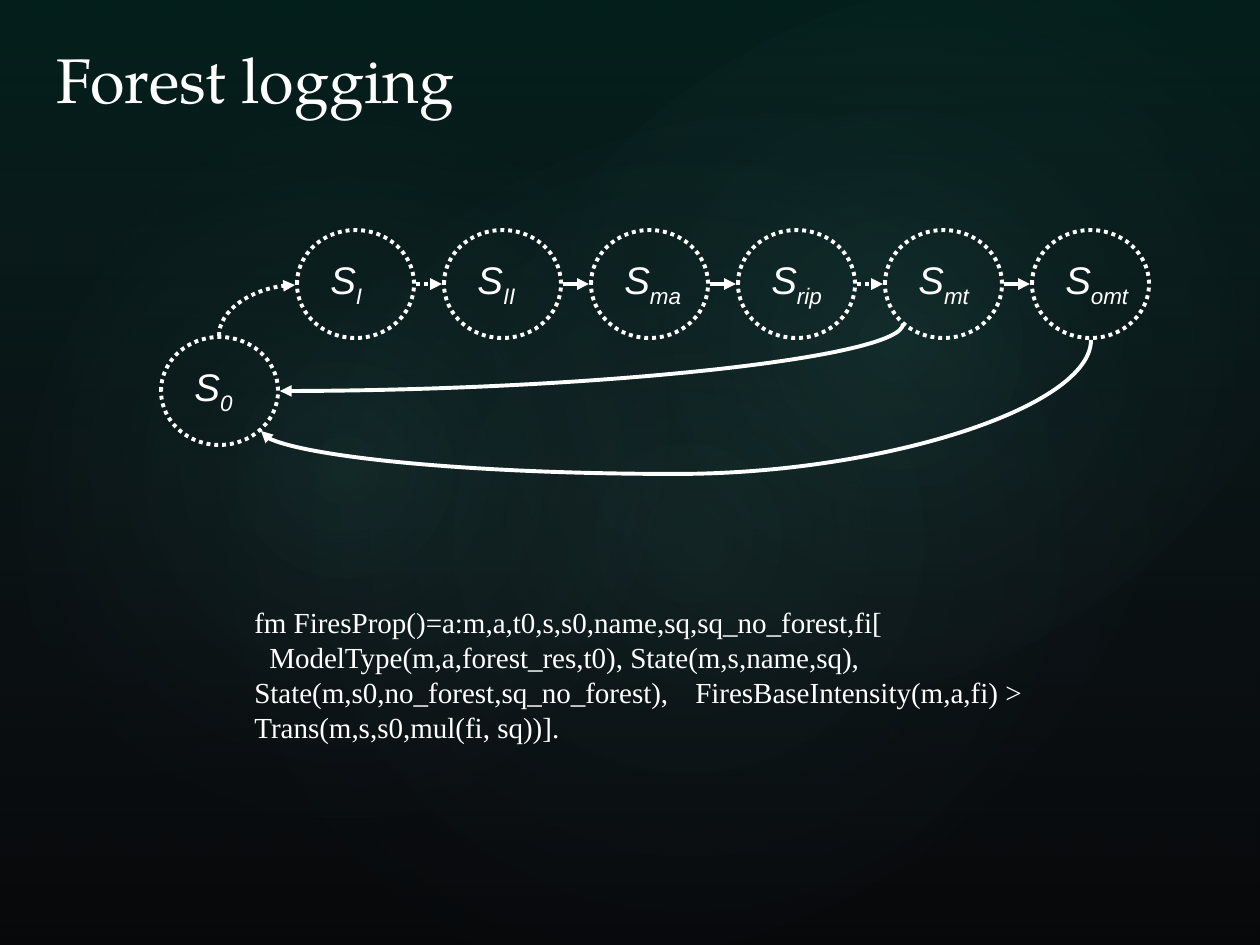
from typing import NamedTuple

from lxml.etree import SubElement
from pptx import Presentation
from pptx.dml.color import RGBColor
from pptx.enum.dml import MSO_LINE
from pptx.enum.shapes import MSO_CONNECTOR, MSO_SHAPE
from pptx.enum.text import MSO_ANCHOR, PP_ALIGN
from pptx.oxml import parse_xml
from pptx.oxml.ns import nsdecls, qn
from pptx.util import Pt

SCALE = 914400 / 126
COLORS = {"ink": "FFFFFF", "base": "000000", "teal": "0D5A4F", "slate": "4E5B6F", "glow": "5FE8D6"}
WIDE, HIGH = 117, 108
LEFT, TOP, STEP = 297, 230, 147


class Stop(NamedTuple):
    pos: int
    color: str
    alpha: int


class Glow(NamedTuple):
    box: tuple[int, int, int, int]
    turn: float
    alpha: int


class State(NamedTuple):
    sub: str
    left: int
    top: int


class Link(NamedTuple):
    start: tuple[int, int]
    end: tuple[int, int]
    dotted: bool = False
    kind: str = "line"
    turn: int = 0
    bend: int = 0


GLOWS = [
    Glow((189, 144, 998, 786), 328.7, 7),
    Glow((-38, 161, 764, 617), 294.3, 8),
    Glow((451, 16, 893, 655), 328.7, 8),
]
SUBS = ["I", "II", "ma", "rip", "mt", "omt"]
STATES = [State("0", 161, 337)] + [State(sub, LEFT + i * STEP, TOP) for i, sub in enumerate(SUBS)]
LINKS = [
    Link((416 + i * STEP, 284), (442 + i * STEP, 284), dotted)
    for i, dotted in enumerate([True, False, False, True, False])
] + [
    Link((219, 336), (295, 285), True, "curvedConnector2", 270),
    Link((903, 324), (280, 391), False, "curvedConnector2", 90),
    Link((1091, 340), (261, 431), False, "curvedConnector3", 90, 147300),
]
RULE = [
    (0, "fm FiresProp()=a:m,a,t0,s,s0,name,sq,sq_no_forest,fi["),
    (15, "ModelType(m,a,forest_res,t0), State(m,s,name,sq),"),
    (0, "State(m,s0,no_forest,sq_no_forest),\tFiresBaseIntensity(m,a,fi) > Trans(m,s,s0,mul(fi, sq))]."),
]


def px(size: float) -> int:
    return round(size * SCALE)


def hue(name: str) -> RGBColor:
    return RGBColor.from_string(COLORS[name])


def add_run(para, text: str, font: str, size: float):
    run = para.add_run()
    run.text = text
    run.font.name = font
    run.font.size = Pt(size)
    run.font.color.rgb = hue("ink")
    return run


def add_shade(shapes, kind, box: tuple, stops: list[Stop], path: str, turn: float = 0) -> None:
    shape = shapes.add_shape(kind, *map(px, box))
    shape.rotation = turn
    shape.shadow.inherit = False
    shape.line.fill.background()
    marks = "".join(
        f'<a:gs pos="{s.pos * 1000}"><a:srgbClr val="{COLORS[s.color]}">'
        f'<a:alpha val="{s.alpha * 1000}"/></a:srgbClr></a:gs>'
        for s in stops
    )
    fill = parse_xml(f'<a:gradFill {nsdecls("a")} rotWithShape="1"><a:gsLst>{marks}</a:gsLst>{path}</a:gradFill>')
    shape.element.spPr.find(qn("a:prstGeom")).addnext(fill)


def style_line(line, dotted: bool) -> None:
    line.color.rgb = hue("ink")
    line.width = Pt(2.25)
    if dotted:
        line.dash_style = MSO_LINE.ROUND_DOT


def add_state(shapes, state: State) -> None:
    ring = shapes.add_shape(MSO_SHAPE.OVAL, *map(px, (state.left, state.top, WIDE, HIGH)))
    ring.shadow.inherit = False
    ring.fill.background()
    style_line(ring.line, True)
    label = shapes.add_textbox(*map(px, (state.left + 21, state.top + 20, 100, 59)))
    label.text_frame.word_wrap = True
    para = label.text_frame.paragraphs[0]
    for text, base in (("S", 0), (state.sub, -25000)):
        run = add_run(para, text, "Arial", 22)
        run.font.italic = True
        if base:
            run.font._element.set("baseline", str(base))


def add_link(shapes, link: Link) -> None:
    (x1, y1), (x2, y2) = link.start, link.end
    if link.turn:
        mid_x, mid_y = (x1 + x2) / 2, (y1 + y2) / 2
        half_w, half_h = abs(y2 - y1) / 2, abs(x2 - x1) / 2
        x1, y1, x2, y2 = mid_x - half_w, mid_y - half_h, mid_x + half_w, mid_y + half_h
    wire = shapes.add_connector(MSO_CONNECTOR.STRAIGHT, *map(px, (x1, y1, x2, y2)))
    style_line(wire.line, link.dotted)
    props = wire.element.spPr
    if link.turn:
        props.find(qn("a:xfrm")).set("rot", str(link.turn * 60000))
    geom = props.find(qn("a:prstGeom"))
    geom.set("prst", link.kind)
    if link.bend:
        SubElement(geom.find(qn("a:avLst")), qn("a:gd"), name="adj1", fmla=f"val {link.bend}")
    SubElement(props.find(qn("a:ln")), qn("a:tailEnd"), type="triangle")
    SubElement(props, qn("a:effectLst"))


def add_rule(shapes) -> None:
    box = shapes.add_textbox(*map(px, (242, 598, 872, 154)))
    frame = box.text_frame
    frame.word_wrap = True
    for i, (indent, text) in enumerate(RULE):
        para = frame.paragraphs[0] if i == 0 else frame.add_paragraph()
        para.line_spacing = Pt(20)
        add_run(para, text, "Times New Roman", 16.6)
        props = para._p.get_or_add_pPr()
        props.set("indent", str(px(indent)))
        if "\t" in text:
            tabs = SubElement(props, qn("a:tabLst"))
            SubElement(tabs, qn("a:tab"), pos=str(px(518)), algn="l")


def set_title(title) -> None:
    title.left, title.top, title.width, title.height = map(px, (44, -4, 1040, 126))
    frame = title.text_frame
    frame.vertical_anchor = MSO_ANCHOR.BOTTOM
    para = frame.paragraphs[0]
    para.alignment = PP_ALIGN.LEFT
    add_run(para, "Forest logging", "TeX Gyre Pagella", 36)
    title.element.getparent().append(title.element)


def main() -> None:
    deck = Presentation()
    deck.slide_width, deck.slide_height = px(1260), px(945)
    slide = deck.slides.add_slide(deck.slide_layouts[5])
    back = slide.background.fill
    back.solid()
    back.fore_color.rgb = hue("base")
    add_shade(
        slide.shapes, MSO_SHAPE.RECTANGLE, (0, 0, 1260, 945),
        [Stop(0, "teal", 36), Stop(100, "slate", 10)], '<a:lin ang="5400000" scaled="0"/>',
    )
    focus = '<a:path path="circle"><a:fillToRect l="50000" t="50000" r="50000" b="50000"/></a:path>'
    for glow in GLOWS:
        stops = [Stop(0, "glow", glow.alpha), Stop(58, "slate", 0)]
        add_shade(slide.shapes, MSO_SHAPE.OVAL, glow.box, stops, focus, glow.turn)
    graph = slide.shapes.add_group_shape().shapes
    for state in STATES:
        add_state(graph, state)
    for link in LINKS:
        add_link(graph, link)
    add_rule(slide.shapes)
    set_title(slide.shapes.title)
    deck.save("out.pptx")


if __name__ == "__main__":
    main()
